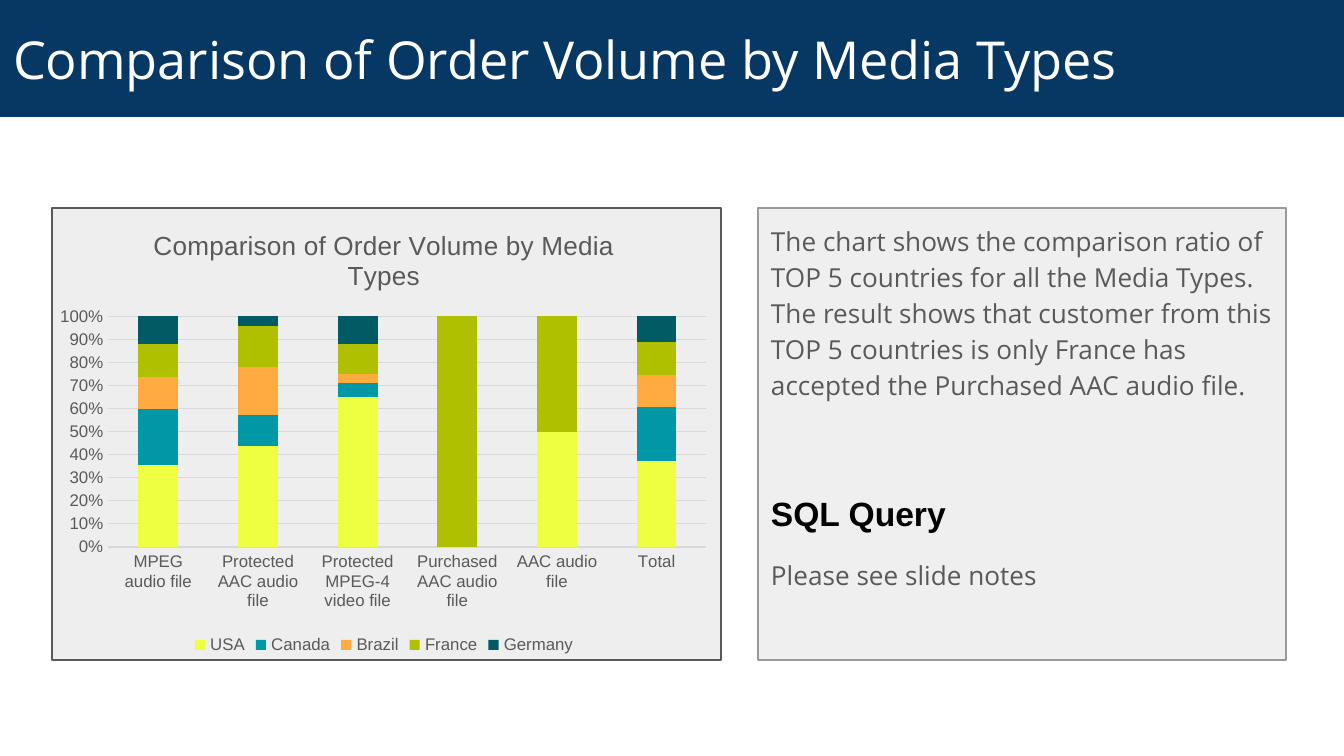
from lxml.etree import SubElement
from pptx import Presentation
from pptx.chart.data import CategoryChartData
from pptx.dml.color import RGBColor
from pptx.enum.chart import XL_CHART_TYPE, XL_LEGEND_POSITION, XL_TICK_MARK
from pptx.enum.shapes import MSO_SHAPE
from pptx.enum.text import MSO_ANCHOR, MSO_AUTO_SIZE, PP_ALIGN
from pptx.oxml import parse_xml
from pptx.oxml.ns import nsdecls, qn
from pptx.util import Pt

PX = 6804
INSET = 13

NAVY = RGBColor(0x07, 0x37, 0x63)
WHITE = RGBColor(0xFF, 0xFF, 0xFF)
BLACK = RGBColor(0, 0, 0)
TEXT_GRAY = RGBColor(0x59, 0x59, 0x59)
BORDER_GRAY = RGBColor(0x99, 0x99, 0x99)
GRID_GRAY = RGBColor(0xD9, 0xD9, 0xD9)
BODY_FILL = RGBColor(0xEF, 0xEF, 0xEF)
FRAME_FILL = RGBColor(0xEE, 0xEE, 0xEE)

TITLE = "Comparison of Order Volume by Media Types"
BODY = (
    "The chart shows the comparison ratio of TOP 5 countries for all the Media Types. "
    "The result shows that customer from this TOP 5 countries is only France has "
    "accepted the Purchased AAC audio file."
)
QUERY_HEADING = "SQL Query"
QUERY_NOTE = "Please see slide notes"

CATEGORIES = [
    "MPEG audio file", "Protected AAC audio file", "Protected MPEG-4 video file",
    "Purchased AAC audio file", "AAC audio file", "Total",
]
SERIES = [
    ("USA", (35, 44, 65, 0, 50, 37), RGBColor(0xEE, 0xFF, 0x41)),
    ("Canada", (24, 14, 6, 0, 0, 23), RGBColor(0x00, 0x97, 0xA7)),
    ("Brazil", (14, 21, 4, 0, 0, 14), RGBColor(0xFF, 0xAB, 0x40)),
    ("France", (14, 18, 13, 100, 50, 14), RGBColor(0xAF, 0xC0, 0x00)),
    ("Germany", (12, 4, 12, 0, 0, 11), RGBColor(0x00, 0x5B, 0x64)),
]

TITLE_BOX = (0, 0, 1344, 117)
BODY_BOX = (758, 208, 528, 452)
FRAME_BOX = (52, 208, 669, 452)
CHART_BOX = (48, 208, 672, 452)
QUERY_BOX = (758, 480, 528, 181)
PLOT_LAYOUT = {"x": 0.09, "y": 0.24, "w": 0.89, "h": 0.51}


def emu(box):
    return [length * PX for length in box]


def place(shape, box):
    shape.left, shape.top, shape.width, shape.height = emu(box)


def paint(shape, fill, line=None):
    shape.fill.solid()
    shape.fill.fore_color.rgb = fill
    if line is not None:
        shape.line.color.rgb = line
        shape.line.width = Pt(0.75)


def style(font, name, size, color, bold=False):
    font.name, font.size, font.bold = name, Pt(size), bold
    font.color.rgb = color


def setup_text(frame, anchor):
    frame.word_wrap = True
    frame.auto_size = MSO_AUTO_SIZE.NONE
    frame.vertical_anchor = anchor
    frame.margin_left = frame.margin_right = INSET * PX
    frame.margin_top = frame.margin_bottom = INSET * PX


def write(paragraph, text, *font):
    paragraph.text = text
    paragraph.alignment = PP_ALIGN.LEFT
    style(paragraph.runs[0].font, *font)


def add_title(slide):
    title = slide.shapes.title
    place(title, TITLE_BOX)
    paint(title, NAVY)
    setup_text(title.text_frame, MSO_ANCHOR.MIDDLE)
    write(title.text_frame.paragraphs[0], TITLE, "Open Sans", 28, WHITE)


def add_body(slide):
    body = slide.placeholders[1]
    place(body, BODY_BOX)
    paint(body, BODY_FILL, BORDER_GRAY)
    setup_text(body.text_frame, MSO_ANCHOR.TOP)
    paragraph = body.text_frame.paragraphs[0]
    write(paragraph, BODY, "Open Sans", 14, TEXT_GRAY)
    paragraph.line_spacing = 1.15
    paragraph.space_before = Pt(0)
    paragraph.space_after = Pt(16)
    properties = paragraph._p.get_or_add_pPr()
    properties.set("marL", "0")
    properties.set("indent", "0")
    SubElement(properties, qn("a:buNone"))


def add_frame(slide):
    frame = slide.shapes.add_shape(MSO_SHAPE.RECTANGLE, *emu(FRAME_BOX))
    frame.shadow.inherit = False
    paint(frame, FRAME_FILL, TEXT_GRAY)


def add_query(slide):
    text_frame = slide.shapes.add_textbox(*emu(QUERY_BOX)).text_frame
    setup_text(text_frame, MSO_ANCHOR.TOP)
    write(text_frame.paragraphs[0], QUERY_HEADING, "Arial", 18, BLACK, True)
    note = text_frame.add_paragraph()
    write(note, QUERY_NOTE, "Open Sans", 14, TEXT_GRAY)
    note.space_before = Pt(14)


def add_volume_chart(slide):
    data = CategoryChartData()
    data.categories = CATEGORIES
    for name, values, _ in SERIES:
        data.add_series(name, values)
    chart = slide.shapes.add_chart(
        XL_CHART_TYPE.COLUMN_STACKED_100, *emu(CHART_BOX), data).chart
    style(chart.font, "Arial", 10, BLACK)

    chart.has_title = True
    chart.chart_title.include_in_layout = False
    paragraph = chart.chart_title.text_frame.paragraphs[0]
    paragraph.text = TITLE
    style(paragraph.runs[0].font, "Arial", 14, TEXT_GRAY)

    chart.has_legend = True
    chart.legend.position = XL_LEGEND_POSITION.BOTTOM
    chart.legend.include_in_layout = False
    style(chart.legend.font, "Arial", 9, TEXT_GRAY)

    plot = chart.plots[0]
    plot.gap_width, plot.overlap = 150, 100
    plot.vary_by_categories = False
    for series, (_, _, color) in zip(plot.series, SERIES):
        paint(series.format, color)

    for axis in (chart.category_axis, chart.value_axis):
        axis.major_tick_mark = axis.minor_tick_mark = XL_TICK_MARK.NONE
        axis.format.line.fill.background()
        style(axis.tick_labels.font, "Arial", 9, TEXT_GRAY)
    value_axis = chart.value_axis
    value_axis.minimum_scale, value_axis.maximum_scale = 0, 1
    value_axis.major_unit = 0.1
    value_axis.tick_labels.number_format = "0%"
    value_axis.tick_labels.number_format_is_linked = False
    value_axis.major_gridlines.format.line.color.rgb = GRID_GRAY
    value_axis.major_gridlines.format.line.width = Pt(0.75)

    plot_area = chart._chartSpace.chart.plotArea
    for layout in plot_area.findall(qn("c:layout")):
        plot_area.remove(layout)
    entries = '<c:layoutTarget val="inner"/><c:xMode val="edge"/><c:yMode val="edge"/>'
    entries += "".join(f'<c:{key} val="{value}"/>' for key, value in PLOT_LAYOUT.items())
    plot_area.insert(0, parse_xml(
        f'<c:layout {nsdecls("c")}><c:manualLayout>{entries}</c:manualLayout></c:layout>'))


def main():
    presentation = Presentation()
    presentation.slide_width, presentation.slide_height = 1344 * PX, 756 * PX
    slide = presentation.slides.add_slide(presentation.slide_layouts[1])
    add_body(slide)
    add_frame(slide)
    add_title(slide)
    add_volume_chart(slide)
    add_query(slide)
    presentation.save("out.pptx")


if __name__ == "__main__":
    main()
